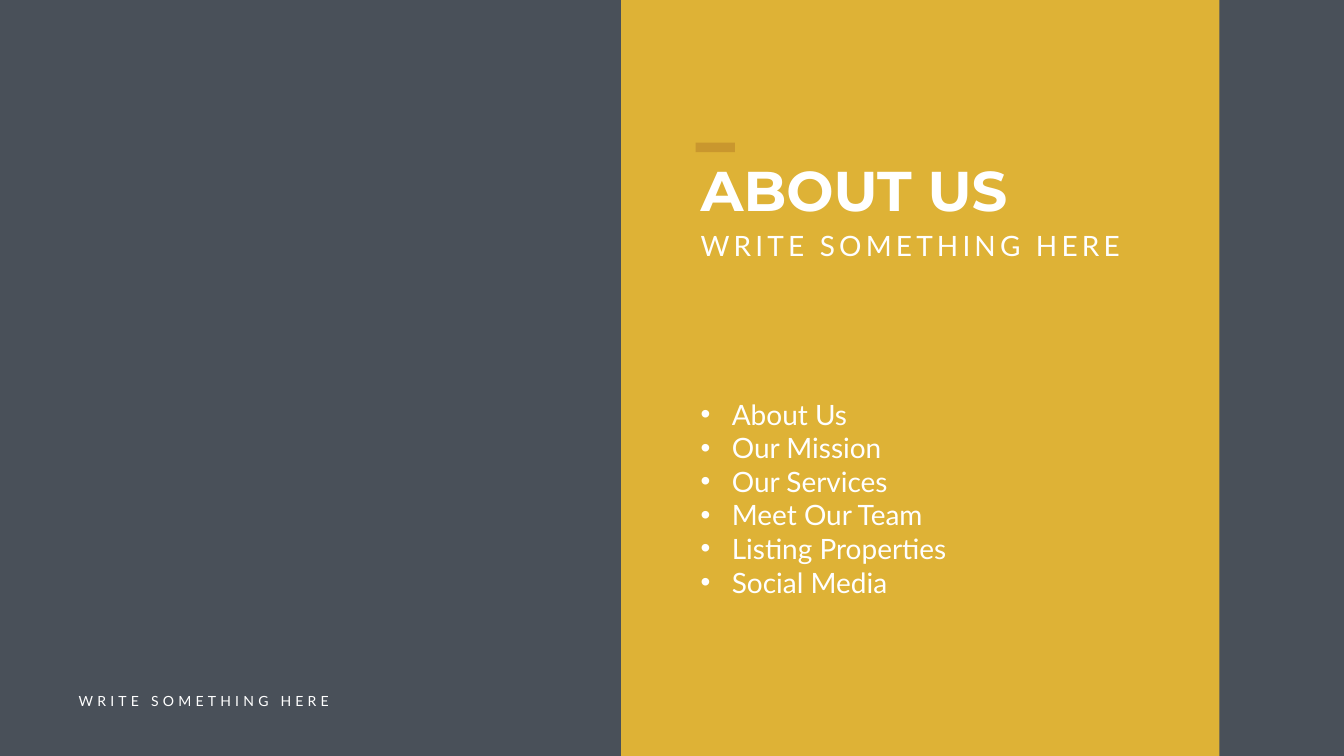
"""Build the About Us slide: a gold panel on slate with a heading and a bullet list."""
from dataclasses import dataclass

from lxml.etree import SubElement
from pptx import Presentation
from pptx.dml.color import RGBColor
from pptx.enum.shapes import MSO_SHAPE
from pptx.enum.text import MSO_AUTO_SIZE
from pptx.oxml.ns import qn
from pptx.util import Inches, Pt


@dataclass(frozen=True)
class Theme:
    slate: str = "363E48"
    gold: str = "EFBD33"
    amber: str = "C9972E"
    white: str = "FFFFFF"
    head: str = "Montserrat"
    body: str = "Lato"
    large: int = 80
    medium: int = 40
    small: int = 20
    track: int = 600
    indent: float = 0.62


THEME = Theme()
WIDTH, HEIGHT = 26.66, 15
LEFT = 51.76
TAG = "WRITE SOMETHING HERE"

PANELS = [
    ((0, 0, 100, 100), THEME.slate, 90),
    ((46.21, 0, 44.52, 100), THEME.gold, 90),
    ((LEFT, 18.87, 2.93, 1.27), THEME.amber, 100),
]
TOPICS = ["About Us", "Our Mission", "Our Services",
          "Meet Our Team", "Listing Properties", "Social Media"]
TEXTS = [
    ((LEFT, 52.2, 21.46, 27.6), TOPICS, THEME.body, THEME.medium, "list"),
    ((LEFT, 20.2, 26.14, 9.67), ["ABOUT US"], THEME.head, THEME.large, "bold"),
    ((LEFT, 29.93, 35.22, 5.13), [TAG], THEME.body, THEME.medium, "wide"),
    ((5.48, 91.27, 21.04, 2.93), [TAG], THEME.body, THEME.small, "wide"),
]


def place(area):
    sides = (WIDTH, HEIGHT, WIDTH, HEIGHT)
    return [Inches(share * side / 100) for share, side in zip(area, sides)]


def fade(fill, alpha):
    fill_xml = fill._xPr.find(qn("a:solidFill"))
    SubElement(fill_xml[0], qn("a:alpha"), val=str(alpha * 1000))


def add_panel(slide, area, color, alpha):
    panel = slide.shapes.add_shape(MSO_SHAPE.RECTANGLE, *place(area))
    panel.shadow.inherit = False
    panel.line.fill.background()
    panel.fill.solid()
    panel.fill.fore_color.rgb = RGBColor.from_string(color)
    if alpha < 100:
        fade(panel.fill, alpha)


def add_bullet(para):
    props = para._p.get_or_add_pPr()
    indent = Inches(THEME.indent)
    props.set("marL", str(indent))
    props.set("indent", str(-indent))
    SubElement(props, qn("a:buFont"), typeface="Arial")
    SubElement(props, qn("a:buChar"), char="•")


def add_text(slide, area, lines, face, size, style):
    frame = slide.shapes.add_textbox(*place(area)).text_frame
    frame.word_wrap = True
    frame.auto_size = MSO_AUTO_SIZE.SHAPE_TO_FIT_TEXT
    frame.text = "\n".join(lines)
    for para in frame.paragraphs:
        if style == "list":
            add_bullet(para)
        for run in para.runs:
            run.font.name = face
            run.font.size = Pt(size)
            run.font.bold = style == "bold"
            run.font.color.rgb = RGBColor.from_string(THEME.white)
            if style == "wide":
                run._r.get_or_add_rPr().set("spc", str(THEME.track))


def main():
    deck = Presentation()
    deck.slide_width, deck.slide_height = Inches(WIDTH), Inches(HEIGHT)
    slide = deck.slides.add_slide(deck.slide_layouts[6])
    for panel in PANELS:
        add_panel(slide, *panel)
    for text in TEXTS:
        add_text(slide, *text)
    deck.save("out.pptx")


if __name__ == "__main__":
    main()
